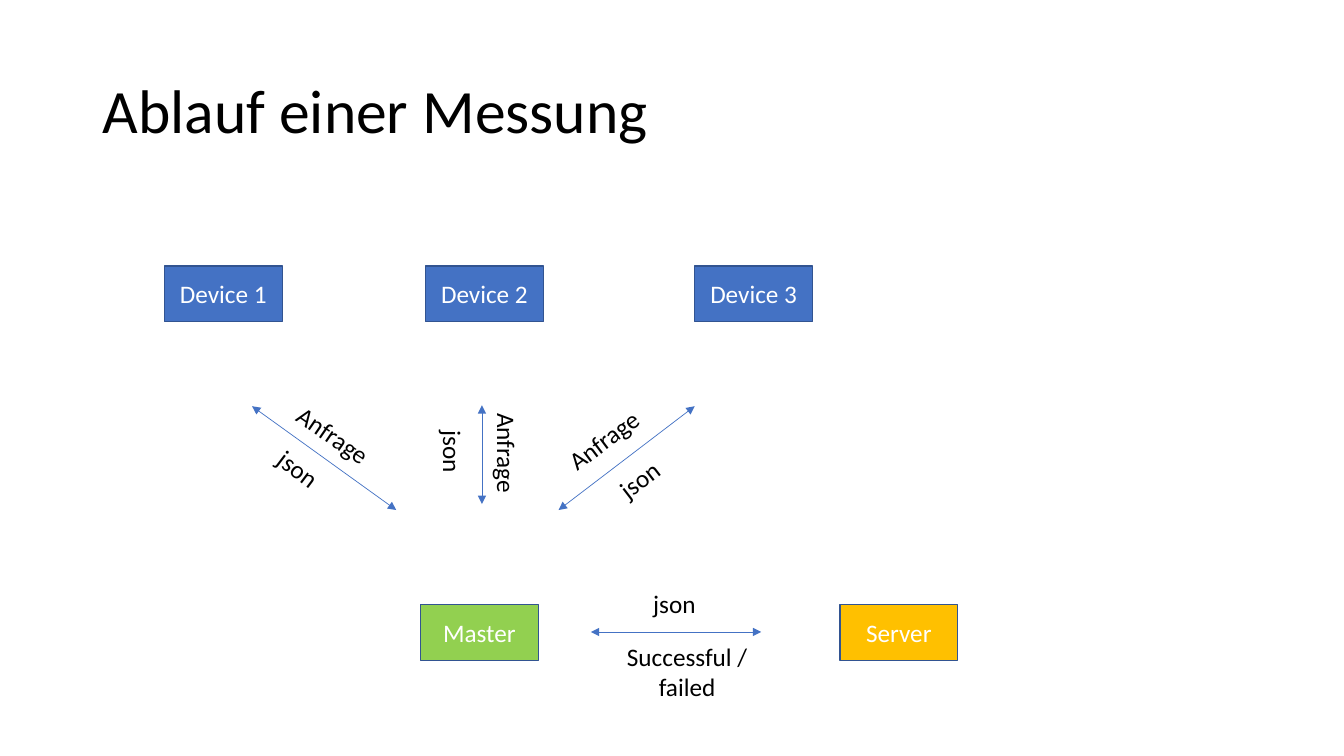
from dataclasses import dataclass

from lxml import etree
from pptx import Presentation
from pptx.dml.color import RGBColor
from pptx.enum.shapes import MSO_CONNECTOR, MSO_SHAPE
from pptx.enum.text import MSO_ANCHOR, MSO_AUTO_SIZE, PP_ALIGN
from pptx.oxml.ns import qn
from pptx.slide import Slide
from pptx.text.text import TextFrame
from pptx.util import Pt

PX = 9144
FONT = "Calibri"
BLACK = RGBColor(0x00, 0x00, 0x00)
WHITE = RGBColor(0xFF, 0xFF, 0xFF)
BLUE = RGBColor(0x44, 0x72, 0xC4)
GREEN = RGBColor(0x92, 0xD0, 0x50)
AMBER = RGBColor(0xFF, 0xC0, 0x00)
OUTLINE = RGBColor(0x32, 0x54, 0x91)
NODE_W, NODE_H = 117, 55
DEVICE_Y, MASTER_Y = 264, 600


@dataclass(frozen=True)
class Node:
    """A coloured box that takes part in the measurement."""

    text: str
    x: int
    y: int
    fill: RGBColor


@dataclass(frozen=True)
class Arrow:
    """A double-headed line between two points."""

    x1: int
    y1: int
    x2: int
    y2: int


@dataclass(frozen=True)
class Label:
    """A message name, turned to follow its arrow."""

    text: str
    x: int
    y: int
    w: int
    h: int = 40
    rotation: float = 0
    align: PP_ALIGN = PP_ALIGN.LEFT


NODES = [
    Node("Device 1", 163, DEVICE_Y, BLUE),
    Node("Device 2", 422, DEVICE_Y, BLUE),
    Node("Device 3", 689, DEVICE_Y, BLUE),
    Node("Master", 417, MASTER_Y, GREEN),
    Node("Server", 833, MASTER_Y, AMBER),
]
ARROWS = [
    Arrow(393, 506, 250, 403),
    Arrow(478, 500, 478, 402),
    Arrow(689, 403, 554, 506),
    Arrow(755, 627, 586, 627),
]
LABELS = [
    Label("Anfrage", 281, 412, 100, rotation=34.5),
    Label("json", 265, 445, 63, rotation=37),
    Label("Anfrage", 453, 430, 100, rotation=90),
    Label("json", 418, 429, 63, rotation=90),
    Label("Anfrage", 549, 416, 100, rotation=323.2),
    Label("json", 603, 455, 63, rotation=322.5),
    Label("json", 638, 579, 63),
    Label("Successful /\nfailed", 611, 631, 141, 71, align=PP_ALIGN.CENTER),
]


def write(tf: TextFrame, text: str, size: int, color: RGBColor, align: PP_ALIGN) -> None:
    """Fill a text frame with evenly styled paragraphs."""
    tf.text = text
    for p in tf.paragraphs:
        p.alignment = align
        p.font.name = FONT
        p.font.size = Pt(size)
        p.font.color.rgb = color


def add_title(s: Slide, text: str) -> None:
    """Add the slide heading."""
    tf = s.shapes.add_textbox(92 * PX, 40 * PX, 1150 * PX, 145 * PX).text_frame
    tf.word_wrap = True
    tf.vertical_anchor = MSO_ANCHOR.MIDDLE
    write(tf, text, 44, BLACK, PP_ALIGN.LEFT)
    tf.paragraphs[0].line_spacing = 0.9


def add_node(s: Slide, node: Node) -> None:
    """Add a box with centred text."""
    sp = s.shapes.add_shape(
        MSO_SHAPE.RECTANGLE, node.x * PX, node.y * PX, NODE_W * PX, NODE_H * PX
    )
    sp.shadow.inherit = False
    sp.fill.solid()
    sp.fill.fore_color.rgb = node.fill
    sp.line.color.rgb = OUTLINE
    sp.line.width = Pt(1)
    sp.text_frame.vertical_anchor = MSO_ANCHOR.MIDDLE
    write(sp.text_frame, node.text, 18, WHITE, PP_ALIGN.CENTER)


def add_arrow(s: Slide, arrow: Arrow) -> None:
    """Add a thin line with a triangle at each end."""
    line = s.shapes.add_connector(
        MSO_CONNECTOR.STRAIGHT,
        arrow.x1 * PX, arrow.y1 * PX, arrow.x2 * PX, arrow.y2 * PX,
    )
    line.line.color.rgb = BLUE
    line.line.width = Pt(0.5)
    ln = line.line._get_or_add_ln()
    for end in ("a:headEnd", "a:tailEnd"):
        etree.SubElement(ln, qn(end), type="triangle")
    etree.SubElement(ln.getparent(), qn("a:effectLst"))


def add_label(s: Slide, label: Label) -> None:
    """Add a rotated text box that fits its text."""
    sp = s.shapes.add_textbox(label.x * PX, label.y * PX, label.w * PX, label.h * PX)
    sp.rotation = label.rotation
    tf = sp.text_frame
    tf.word_wrap = False
    tf.auto_size = MSO_AUTO_SIZE.SHAPE_TO_FIT_TEXT
    write(tf, label.text, 18, BLACK, label.align)


def main() -> None:
    """Build and save the slide."""
    prs = Presentation()
    prs.slide_width, prs.slide_height = 1333 * PX, 750 * PX
    s = prs.slides.add_slide(prs.slide_layouts[6])
    add_title(s, "Ablauf einer Messung")
    for node in NODES:
        add_node(s, node)
    for arrow in ARROWS:
        add_arrow(s, arrow)
    for label in LABELS:
        add_label(s, label)
    prs.save("out.pptx")


if __name__ == "__main__":
    main()
